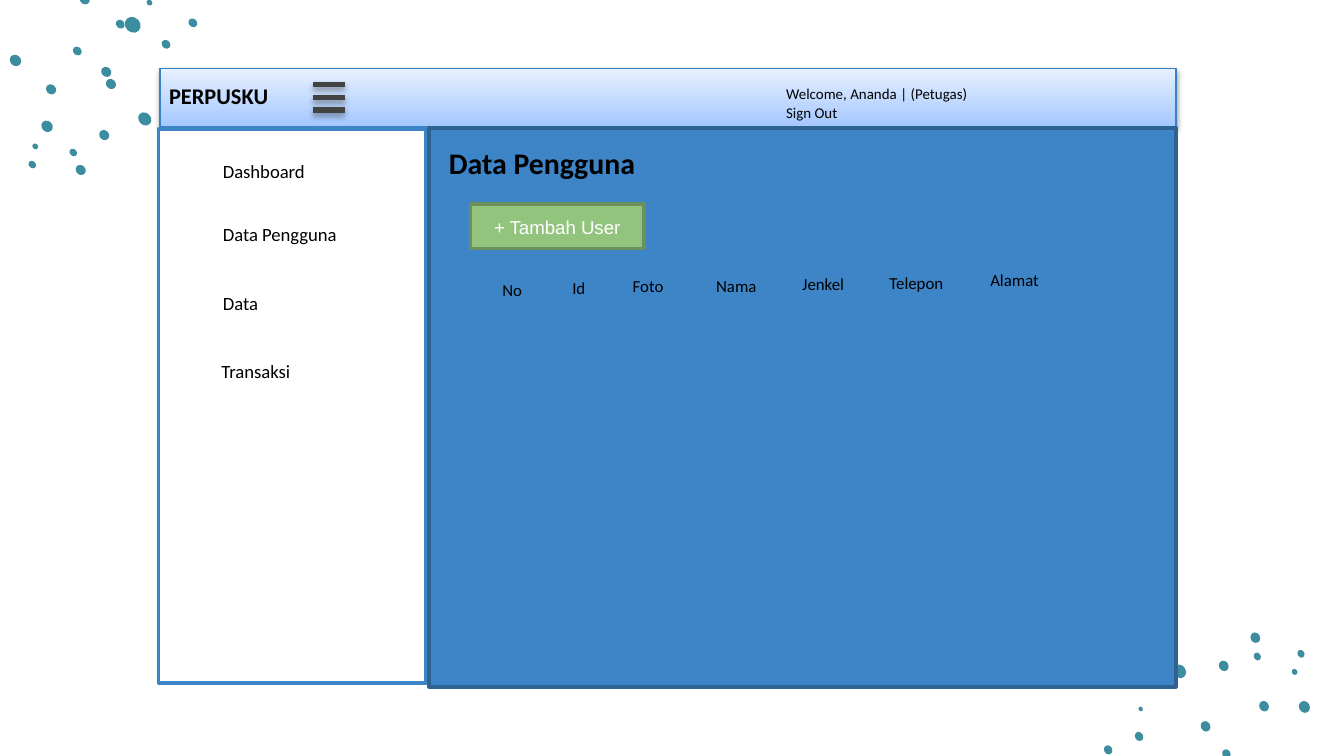
from lxml import etree
from pptx import Presentation
from pptx import util as u
from pptx.dml.color import RGBColor
from pptx.enum import shapes, text
from pptx.oxml import ns

PX = 914400 // 200

TEAL = RGBColor(0x3C, 0x8D, 0xA0)
SKY = RGBColor(0xA5, 0xC8, 0xFF)
PALE = RGBColor(0xE7, 0xF0, 0xFF)
HEADER_EDGE = RGBColor(0x38, 0x82, 0xC5)
BLUE = RGBColor(0x3D, 0x85, 0xC6)
NAVY = RGBColor(0x2D, 0x62, 0x92)
GREEN = RGBColor(0x93, 0xC4, 0x7D)
MOSS = RGBColor(0x6D, 0x91, 0x5C)
GREY = RGBColor(0x43, 0x43, 0x43)
BLACK = RGBColor(0, 0, 0)
WHITE = RGBColor(255, 255, 255)

TOP_DOTS = [
    (197, 37, 22), (222, 4, 8), (126, -1, 14), (179, 36, 12), (115, 76, 12),
    (158, 107, 14), (165, 125, 14), (76, 133, 14), (155, 201, 14),
    (70, 188, 16), (109, 227, 10), (120, 253, 14), (52, 218, 8),
    (48, 245, 10), (215, 177, 18), (287, 34, 12), (247, 66, 12),
    (257, 105, 6), (23, 90, 16),
]
BOTTOM_DOTS = [
    (185, 182, 12), (154, 141, 14), (241, 111, 14), (181, 51, 14),
    (231, 37, 10), (228, 9, 14), (286, 60, 8), (296, 33, 10), (115, 59, 18),
    (9, 176, 12), (55, 156, 12), (57, 115, 6), (301, 112, 16),
]
MENU = [
    ("Dashboard", 76, 34, 258),
    ("Data Pengguna", 76, 128, 258),
    ("Data", 76, 230, 136),
    ("Transaksi", 74, 332, 174),
]
COLUMNS = [
    ("No", 90, 214, 94),
    ("Id", 194, 212, 94),
    ("Foto", 284, 208, 126),
    ("Nama", 408, 208, 124),
    ("Jenkel", 536, 206, 124),
    ("Telepon", 666, 204, 154),
    ("Alamat", 816, 200, 154),
]


def px(*lengths):
    return [u.Emu(length * PX) for length in lengths]


def add_panel(page, box, fill, edge, weight):
    panel = page.shapes.add_shape(shapes.MSO_SHAPE.RECTANGLE, *px(*box))
    panel.shadow.inherit = False
    panel.fill.solid()
    panel.fill.fore_color.rgb = fill
    panel.line.color.rgb = edge
    panel.line.width = u.Pt(weight)
    return panel


def write(shape, lines, size, color=BLACK, bold=False, font="Calibri",
          align=text.PP_ALIGN.LEFT, anchor=text.MSO_ANCHOR.TOP):
    frame = shape.text_frame
    frame.word_wrap = True
    frame.auto_size = text.MSO_AUTO_SIZE.NONE
    frame.vertical_anchor = anchor
    para = frame.paragraphs[0]
    para.alignment = align
    para.line_spacing = 1.07
    para.space_before = u.Pt(0)
    para.space_after = u.Pt(8)
    for index, line in enumerate(lines):
        if index:
            para.add_line_break()
        span = para.add_run()
        span.text = line
        span.font.name = font
        span.font.size = u.Pt(size)
        span.font.bold = bold
        span.font.color.rgb = color


def add_label(page, box, lines, size, bold=False):
    write(page.shapes.add_textbox(*px(*box)), lines, size, bold=bold)


def cast_shadow(shape, opacity, distance):
    properties = shape.element.spPr
    effects = properties.find(ns.qn("a:effectLst"))
    if effects is None:
        effects = etree.SubElement(properties, ns.qn("a:effectLst"))
    shadow = etree.SubElement(
        effects, ns.qn("a:outerShdw"), blurRad=str(u.Pt(3.1)),
        dist=str(u.Pt(distance)), dir="5400000", rotWithShape="0")
    color = etree.SubElement(shadow, ns.qn("a:srgbClr"), val="000000")
    etree.SubElement(color, ns.qn("a:alpha"), val=str(opacity * 1000))


def draw_dots(page, box, dots, angle):
    left, top = box[:2]
    for x, y, breadth in dots:
        length = round(breadth * 1.15)
        dot = page.shapes.add_shape(
            shapes.MSO_SHAPE.OVAL,
            *px(left + x - length // 2, top + y - breadth // 2, length, breadth))
        dot.shadow.inherit = False
        dot.rotation = angle
        dot.fill.solid()
        dot.fill.fore_color.rgb = TEAL
        dot.line.fill.background()


def draw_header(page, box):
    left, top = box[:2]
    bar = add_panel(page, box, SKY, HEADER_EDGE, 0.75)
    bar.fill.gradient()
    bar.fill.gradient_angle = 90
    for stop, color, position in zip(bar.fill.gradient_stops, (SKY, PALE), (0, 1)):
        stop.color.rgb = color
        stop.position = position
    cast_shadow(bar, 38, 1.6)
    add_label(page, (left - 6, top + 8, 228, 78), ["PERPUSKU"], 12, bold=True)
    for row in range(3):
        y = top + 24 + 19 * row
        stripe = page.shapes.add_connector(
            shapes.MSO_CONNECTOR.STRAIGHT, *px(left + 228, y, left + 276, y))
        stripe.line.color.rgb = GREY
        stripe.line.width = u.Pt(3)
        cast_shadow(stripe, 35, 1.8)
    add_label(page, (left + 912, top + 12, 604, 66),
              ["Welcome, Ananda | (Petugas)", "Sign Out"], 8)


def draw_sidebar(page, box):
    left, top = box[:2]
    add_panel(page, box, WHITE, BLUE, 2)
    for name, x, y, width in MENU:
        add_label(page, (left + x, top + y, width, 70), [name], 10)


def draw_content(page, box):
    left, top = box[:2]
    panel = add_panel(page, box, BLUE, NAVY, 2)
    title = page.shapes.title
    panel.element.addnext(title.element)
    title.left, title.top, title.width, title.height = px(
        left + 10, top + 12, 376, 88)
    write(title, ["Data Pengguna"], 16, bold=True)
    for name, x, y, width in COLUMNS:
        add_label(page, (left + x, top + y, width, 60), [name], 9)
    button = add_panel(page, (left + 62, top + 114, 258, 66), GREEN, MOSS, 2)
    write(button, ["+ Tambah User"], 10, WHITE, font="Arial",
          align=text.PP_ALIGN.CENTER, anchor=text.MSO_ANCHOR.MIDDLE)


def main():
    deck = Presentation()
    deck.slide_width, deck.slide_height = px(2000, 1125)
    page = deck.slides.add_slide(deck.slide_layouts[5])
    draw_dots(page, (0, 0, 300, 270), TOP_DOTS, 45)
    draw_dots(page, (1640, 940, 320, 185), BOTTOM_DOTS, 60)
    draw_header(page, (238, 102, 1512, 86))
    draw_sidebar(page, (236, 192, 398, 824))
    draw_content(page, (638, 190, 1112, 832))
    deck.save("out.pptx")


if __name__ == "__main__":
    main()
